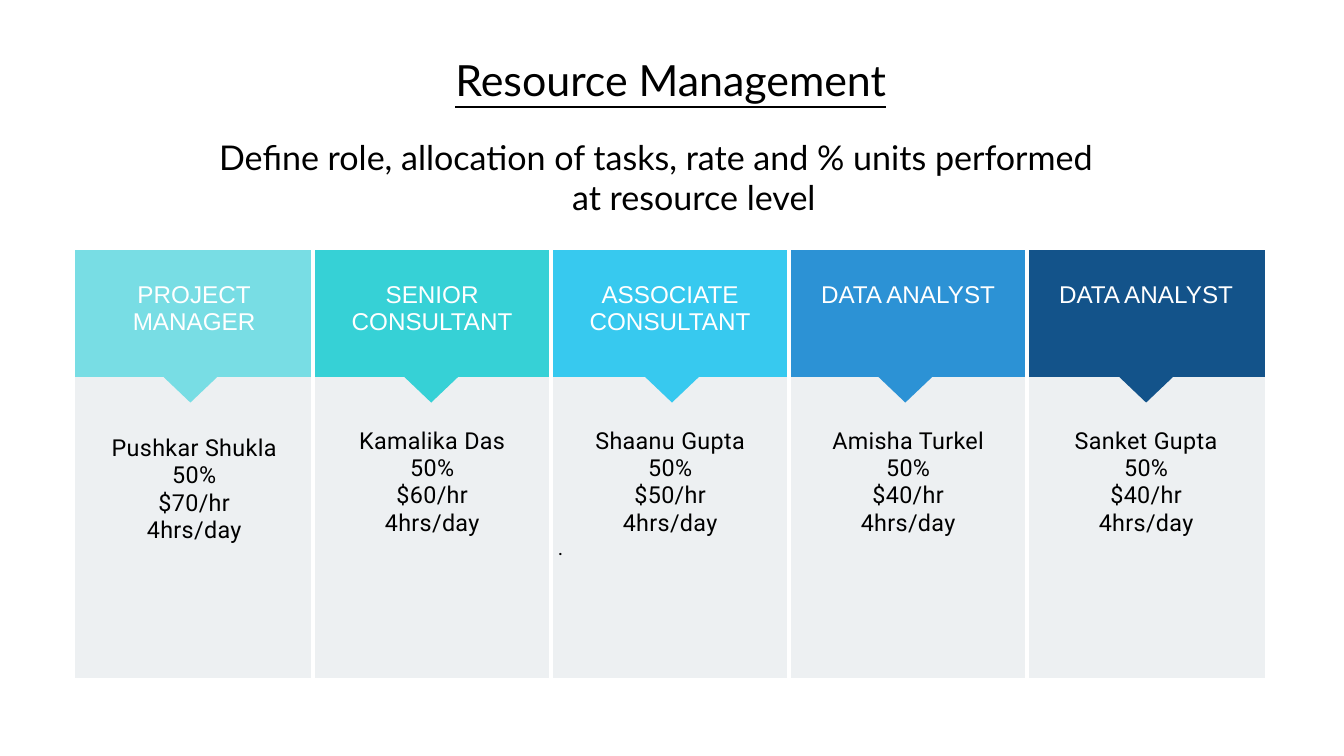
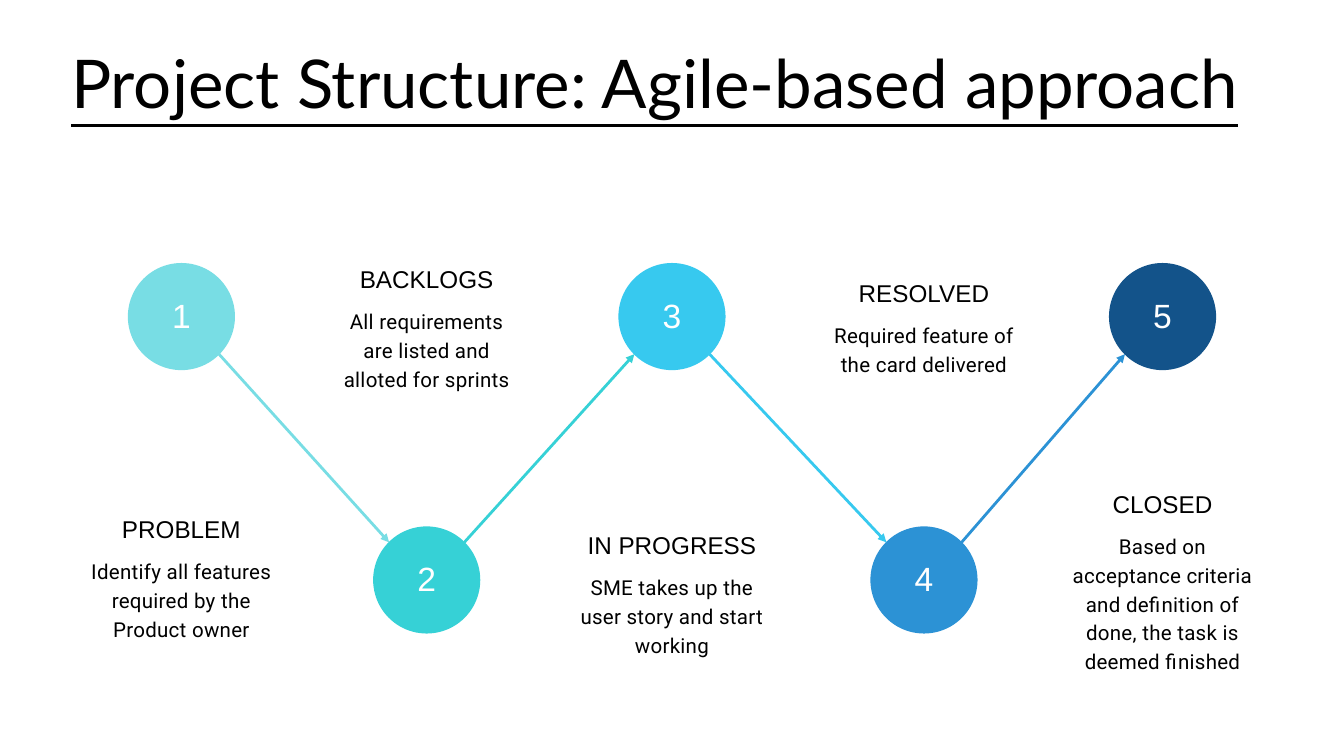
"""Builds the resource management and agile project structure slides."""
from dataclasses import dataclass, replace
from itertools import pairwise

from lxml import etree
from pptx import Presentation
from pptx import util as u
from pptx.dml import color as dml
from pptx.enum import shapes, text
from pptx.oxml import ns

BLACK, WHITE, PANEL = "000000", "FFFFFF", "EDF0F2"
PALETTE = ("78DDE4", "36D1D6", "37C9EF", "2C92D5", "13538A")
LEFT, CENTER = text.PP_ALIGN.LEFT, text.PP_ALIGN.CENTER


@dataclass(frozen=True)
class Style:
    font: str
    size: float
    color: str = BLACK
    align: text.PP_ALIGN = CENTER
    leading: float | None = None
    tracking: float = 0
    underline: bool = False


@dataclass(frozen=True)
class Box:
    left: float
    top: float
    width: float
    height: float

    def lengths(self) -> list[u.Length]:
        return [u.Pt(side) for side in (self.left, self.top, self.width, self.height)]


@dataclass(frozen=True)
class Role:
    heading: str
    person: str
    rate: str
    pointer_x: float
    body_inset: float = 54


@dataclass(frozen=True)
class Stage:
    heading: str
    detail: str
    x: float
    caption_top: float
    detail_height: float = 90


RESOURCE_TITLE = Style("Lato", 46, leading=59.8, underline=True)
PROJECT_TITLE = Style("Lato", 72, align=LEFT, leading=61.1, underline=True)
SUBTITLE = Style("Lato", 36.5, leading=42)
ROLE_HEADING = Style("Arial", 26, WHITE)
ROLE_DETAIL = Style("Roboto", 25, tracking=0.4)
NUMBER = Style("Arial", 36, WHITE, leading=50.4)
STAGE_HEADING = Style("Arial", 26, leading=33.8)
STAGE_DETAIL = Style("Roboto", 22, leading=30.8, tracking=0.3)
STRAY_MARK = Style("Roboto", 22, align=LEFT, tracking=0.3)

ROLES = (
    Role("PROJECT\nMANAGER", "Pushkar Shukla", "$70/hr", 204, 62),
    Role("SENIOR CONSULTANT", "Kamalika Das", "$60/hr", 462),
    Role("ASSOCIATE CONSULTANT", "Shaanu Gupta", "$50/hr", 720),
    Role("DATA ANALYST", "Amisha Turkel", "$40/hr", 970),
    Role("DATA ANALYST", "Sanket Gupta", "$40/hr", 1228),
)
STAGES = (
    Stage("PROBLEM", "Identify all features required by the Product owner", 194.4, 548),
    Stage("BACKLOGS", "All requirements are listed and alloted for sprints", 457.2, 280),
    Stage("IN PROGRESS", "SME takes up the user story and start working", 720, 565.2),
    Stage("RESOLVED", "Required feature of the card delivered", 990, 295.2, 59),
    Stage("CLOSED", "Based on acceptance criteria and definition of done, "
          "the task is deemed finished", 1245.6, 521.3, 152),
)
TABLE = Box(80.6, 267.8, 1275, 458.4)
HEADER_HEIGHT = 136.2
DIAMETER, REACH = 114.8, 40.3
STAGE_ROWS = (339.2, 621.4)


def rgb(value: str) -> dml.RGBColor:
    """Return the colour for a hex string."""
    return dml.RGBColor.from_string(value)


def format_para(para, style: Style) -> None:
    """Apply a text style to a paragraph and its runs."""
    para.alignment = style.align
    if style.leading:
        para.line_spacing = u.Pt(style.leading)
    for span in para.runs:
        font = span.font
        font.name, font.size = style.font, u.Pt(style.size)
        font.bold, font.underline = False, style.underline
        font.color.rgb = rgb(style.color)
        if style.tracking:
            font._element.set("spc", str(round(style.tracking * 100)))


def write(frame, words: str, style: Style) -> None:
    """Fill a text frame with styled paragraphs."""
    frame.text = words
    for para in frame.paragraphs:
        format_para(para, style)


def clear_insets(frame) -> None:
    """Give a text frame wrapped lines, no insets and a fixed size."""
    frame.word_wrap = True
    frame.auto_size = text.MSO_AUTO_SIZE.NONE
    frame.margin_left = frame.margin_right = frame.margin_top = frame.margin_bottom = 0
    frame.vertical_anchor = text.MSO_ANCHOR.TOP


def add_text(page, box: Box, words: str, style: Style):
    """Add a text box and return its frame."""
    frame = page.shapes.add_textbox(*box.lengths()).text_frame
    clear_insets(frame)
    write(frame, words, style)
    return frame


def add_titled_page(deck, box: Box, words: str, style: Style):
    """Add a title-only page with its title placed and formatted."""
    page = deck.slides.add_slide(deck.slide_layouts[5])
    title = page.shapes.title
    title.left, title.top, title.width, title.height = box.lengths()
    clear_insets(title.text_frame)
    write(title.text_frame, words, style)
    return page


def add_solid(page, kind: shapes.MSO_SHAPE, box: Box, fill: str):
    """Add a flat preset shape without an outline."""
    shape = page.shapes.add_shape(kind, *box.lengths())
    shape.shadow.inherit = False
    shape.fill.solid()
    shape.fill.fore_color.rgb = rgb(fill)
    shape.line.fill.background()
    return shape


def add_arrow(page, start: tuple[float, float], end: tuple[float, float], color: str) -> None:
    """Add a straight arrow between two points."""
    arrow = page.shapes.add_connector(
        shapes.MSO_CONNECTOR.STRAIGHT, *(u.Pt(value) for value in start + end))
    arrow.line.color.rgb = rgb(color)
    arrow.line.width = u.Pt(3)
    properties = arrow.element.spPr
    etree.SubElement(properties.get_or_add_ln(), ns.qn("a:tailEnd"), type="triangle")
    etree.SubElement(properties, ns.qn("a:effectLst"))


def style_cell(cell, fill: str, inset: float, gap_left: bool, gap_right: bool) -> None:
    """Set a cell's fill, top inset and white side borders."""
    properties = cell._tc.get_or_add_tcPr()
    for side, shown in (("L", gap_left), ("R", gap_right), ("T", False), ("B", False)):
        edge = etree.SubElement(properties, ns.qn(f"a:ln{side}"),
                                w=str(u.Pt(5.25) if shown else 0))
        if shown:
            paint = etree.SubElement(edge, ns.qn("a:solidFill"))
            etree.SubElement(paint, ns.qn("a:srgbClr"), val=WHITE)
        else:
            etree.SubElement(edge, ns.qn("a:noFill"))
    cell.fill.solid()
    cell.fill.fore_color.rgb = rgb(fill)
    cell.margin_top = u.Pt(inset)


def build_resources(deck) -> None:
    """Build the page with one table column per team role."""
    page = add_titled_page(deck, Box(250.6, 52.6, 936, 57.6),
                           "Resource Management", RESOURCE_TITLE)
    table = page.shapes.add_table(2, len(ROLES), *TABLE.lengths()).table
    table.first_row = table.horz_banding = False
    table.rows[0].height = u.Pt(HEADER_HEIGHT)
    table.rows[1].height = u.Pt(TABLE.height - HEADER_HEIGHT)
    for index, (role, color) in enumerate(zip(ROLES, PALETTE)):
        gaps = index > 0, index < len(ROLES) - 1
        header, body = table.cell(0, index), table.cell(1, index)
        style_cell(header, color, 33.5, *gaps)
        write(header.text_frame, role.heading, ROLE_HEADING)
        style_cell(body, PANEL, role.body_inset, *gaps)
        write(body.text_frame, f"{role.person}\n50%\n{role.rate}\n4hrs/day", ROLE_DETAIL)
        add_solid(page, shapes.MSO_SHAPE.FLOWCHART_MERGE,
                  Box(role.pointer_x - 31, 401.8, 62, 29.5), color)
    mark = table.cell(1, 2).text_frame.add_paragraph()
    mark.text = "."
    format_para(mark, STRAY_MARK)
    subtitle = add_text(page, Box(234.7, 148.3, 1017.4, 85),
                        "Define role, allocation of tasks, rate and % units performed\n"
                        "at resource level", SUBTITLE)
    format_para(subtitle.paragraphs[0], replace(SUBTITLE, align=LEFT))


def add_stage(page, number: int, stage: Stage, center_y: float, color: str) -> None:
    """Add a numbered circle and the caption in line with it."""
    circle = add_solid(page, shapes.MSO_SHAPE.OVAL,
                       Box(stage.x - DIAMETER / 2, center_y - DIAMETER / 2,
                           DIAMETER, DIAMETER), color)
    frame = circle.text_frame
    clear_insets(frame)
    frame.margin_bottom = u.Pt(10.8)
    frame.vertical_anchor = text.MSO_ANCHOR.MIDDLE
    write(frame, str(number), NUMBER)
    left, width = stage.x - 100.4, 200.8
    add_text(page, Box(left, stage.caption_top, width, 33), stage.heading, STAGE_HEADING)
    add_text(page, Box(left, stage.caption_top + 46.6, width, stage.detail_height),
             stage.detail, STAGE_DETAIL)


def build_project(deck) -> None:
    """Build the page with the zigzag of project stages."""
    page = add_titled_page(deck, Box(76.3, 69.1, 1289.5, 67.7),
                           "Project Structure: Agile-based approach", PROJECT_TITLE)
    centers = [(stage.x, STAGE_ROWS[index % 2]) for index, stage in enumerate(STAGES)]
    for number, (stage, center, color) in enumerate(zip(STAGES, centers, PALETTE), 1):
        add_stage(page, number, stage, center[1], color)
    for (start, end), color in zip(pairwise(centers), PALETTE):
        drop = REACH if end[1] > start[1] else -REACH
        add_arrow(page, (start[0] + REACH, start[1] + drop),
                  (end[0] - REACH, end[1] - drop), color)


def main() -> None:
    """Build and save the deck."""
    deck = Presentation()
    deck.slide_width, deck.slide_height = u.Pt(1440), u.Pt(810)
    build_resources(deck)
    build_project(deck)
    deck.save("out.pptx")


if __name__ == "__main__":
    main()
